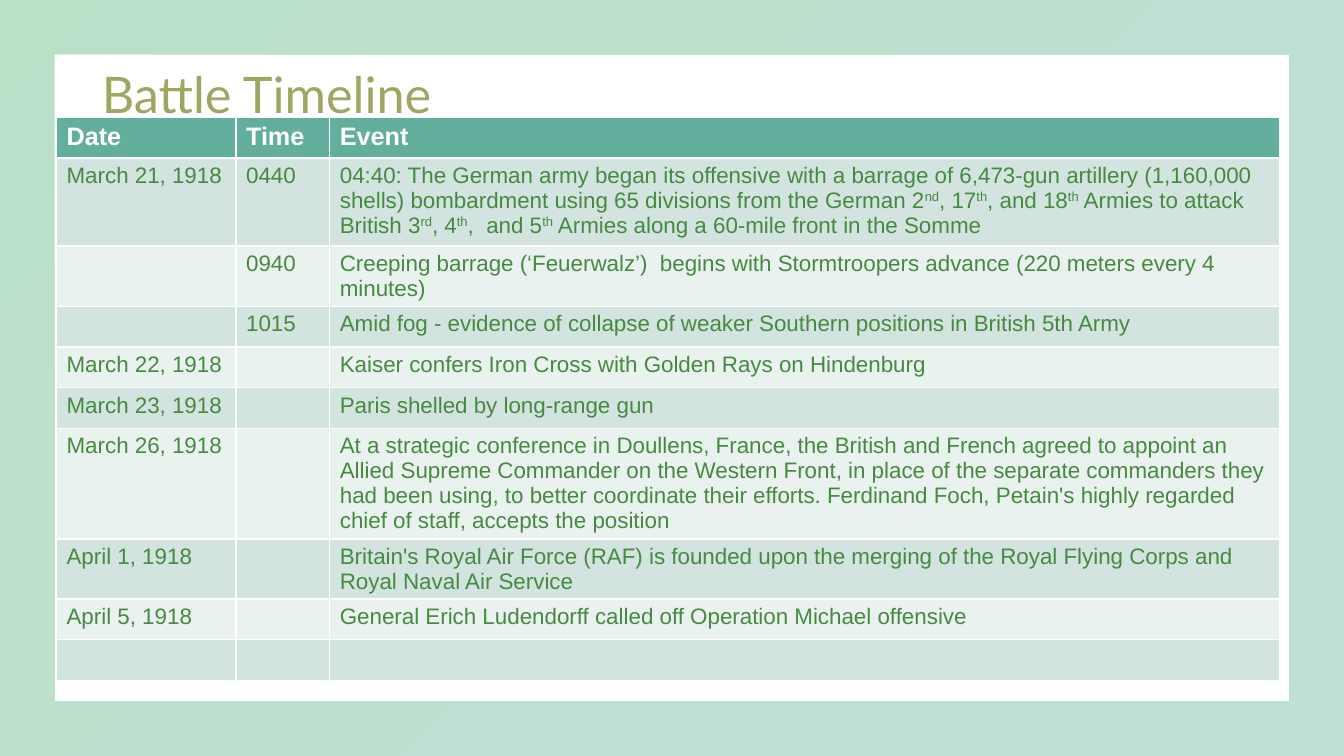
from pptx import Presentation
from pptx.dml.color import RGBColor
from pptx.enum.shapes import MSO_SHAPE
from pptx.enum.text import MSO_ANCHOR, MSO_AUTO_SIZE
from pptx.oxml import parse_xml
from pptx.util import Pt

FRAME = MSO_SHAPE.FRAME
TOP = MSO_ANCHOR.TOP
NO_FIT = MSO_AUTO_SIZE.NONE
GREEN, WHITE, TEAL = "468A41", "FFFFFF", "63AF9D"
BANDS = ["D3E3DF", "EAF2EF"]
ROW_H = 29


def rgb(value):
    return RGBColor.from_string(value)


def write(tf, text, size=16, color=GREEN, font="Arial", bold=False):
    """Fill the first paragraph; text between ^ marks is superscript."""
    p = tf.paragraphs[0]
    for i, part in enumerate(text.split("^")):
        r = p.add_run()
        r.text = part
        r.font.size, r.font.name, r.font.bold = Pt(size), font, bold
        r.font.color.rgb = rgb(color)
        if i % 2:
            r.font._element.set("baseline", "30000")
    return p


prs = Presentation()
prs.slide_width, prs.slide_height = Pt(960), Pt(540)
s = prs.slides.add_slide(prs.slide_layouts[5])

# Translucent gradient frame around the slide
frame = s.shapes.add_shape(FRAME, 0, 0, prs.slide_width, prs.slide_height)
frame.adjustments[0] = 0.072
frame.shadow.inherit = False
frame.line.fill.background()
frame.fill.gradient()
stops = "".join(
    f'<a:gs pos="{pos}"><a:srgbClr val="{color}"><a:alpha val="40000"/></a:srgbClr></a:gs>'
    for pos, color in [(0, "56B376"), (100000, TEAL)])
grad = frame._element.spPr.find("{*}gradFill")
grad.getparent().replace(grad, parse_xml(
    '<a:gradFill xmlns:a="http://schemas.openxmlformats.org/drawingml/2006/main">'
    f'<a:gsLst>{stops}</a:gsLst><a:lin ang="2700000" scaled="0"/></a:gradFill>'))

# Title
title = s.shapes.title
title.left, title.top, title.width, title.height = Pt(65.5), Pt(46.1), Pt(399.6), Pt(34.6)
tf = title.text_frame
tf.auto_size = NO_FIT
tf.vertical_anchor = TOP
p = write(tf, "Battle Timeline", size=36, color="A0A662", font="Lato")
p.alignment = 1
p.line_spacing = 0.9

# Timeline: date, time, event, row height
rows = [
    ("Date", "Time", "Event", ROW_H),
    ("March 21, 1918", "0440",
     "04:40: The German army began its offensive with a barrage of 6,473-gun artillery "
     "(1,160,000 shells) bombardment using 65 divisions from the German 2^nd^, 17^th^, "
     "and 18^th^ Armies to attack British 3^rd^, 4^th^,  and 5^th^ Armies along a "
     "60-mile front in the Somme", 62.9),
    ("", "0940", "Creeping barrage (‘Feuerwalz’)  begins with Stormtroopers advance "
     "(220 meters every 4 minutes)", 42.9),
    ("", "1015", "Amid fog - evidence of collapse of weaker Southern positions in "
     "British 5th Army", ROW_H),
    ("March 22, 1918", "", "Kaiser confers Iron Cross with Golden Rays on Hindenburg", ROW_H),
    ("March 23, 1918", "", "Paris shelled by long-range gun", ROW_H),
    ("March 26, 1918", "",
     "At a strategic conference in Doullens, France, the British and French agreed to "
     "appoint an Allied Supreme Commander on the Western Front, in place of the separate "
     "commanders they had been using, to better coordinate their efforts. Ferdinand Foch, "
     "Petain's highly regarded chief of staff, accepts the position", 78.7),
    ("April 1, 1918", "", "Britain's Royal Air Force (RAF) is founded upon the merging of "
     "the Royal Flying Corps and Royal Naval Air Service", 42.9),
    ("April 5, 1918", "", "General Erich Ludendorff called off Operation Michael offensive",
     ROW_H),
    ("", "", "", ROW_H),
]
table = s.shapes.add_table(len(rows), 3, Pt(40.4), Pt(83.9), Pt(873.4), Pt(401.4)).table
for column, width in zip(table.columns, [128.2, 67, 678.2]):
    column.width = Pt(width)
for i, (*texts, height) in enumerate(rows):
    table.rows[i].height = Pt(height)
    for j, text in enumerate(texts):
        cell = table.cell(i, j)
        cell.fill.solid()
        cell.fill.fore_color.rgb = rgb(BANDS[(i - 1) % 2] if i else TEAL)
        if text and i:
            write(cell.text_frame, text)
        elif text:
            write(cell.text_frame, text, size=18, color=WHITE, bold=True)

prs.save("out.pptx")
